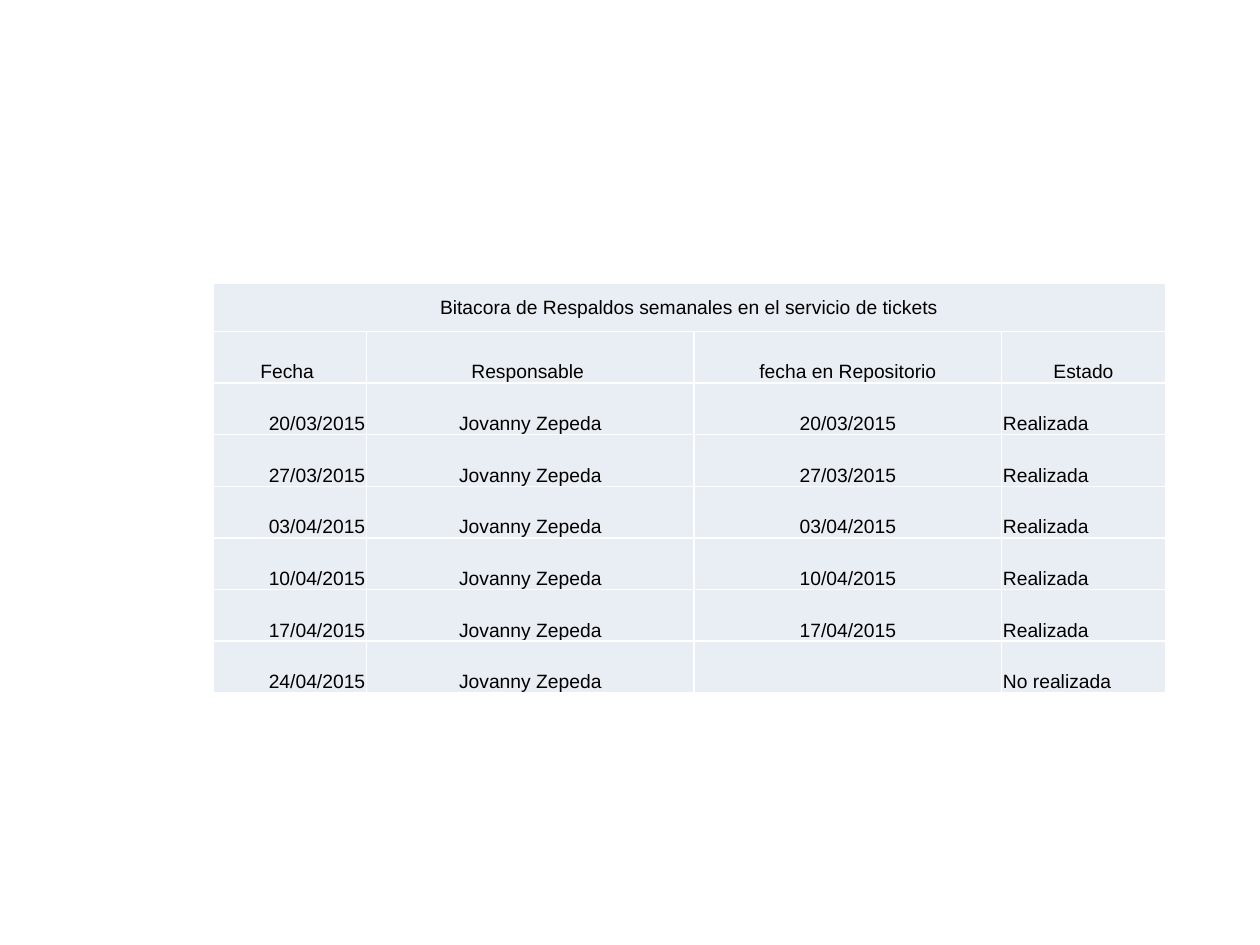
from lxml import etree
from pptx import Presentation
from pptx import util as u
from pptx.dml import color
from pptx.enum import text
from pptx.oxml import ns

HUES = {"cell": "E9EDF4", "edge": "FFFFFF", "ink": "000000"}
TITLE = "Bitacora de Respaldos semanales en el servicio de tickets"
HEADS = ["Fecha ", "Responsable ", "fecha en Repositorio", "Estado"]
DATES = ["20/03/2015", "27/03/2015", "03/04/2015",
         "10/04/2015", "17/04/2015", "24/04/2015"]
WIDTHS = [1.22, 2.6, 2.44, 1.3]
TOP, ROW = 0.38, 0.41
BOX = (1.69, 2.25, sum(WIDTHS), TOP + ROW * (len(DATES) + 1))
MID = text.PP_ALIGN.CENTER
ALIGNS = [text.PP_ALIGN.RIGHT, MID, MID, text.PP_ALIGN.LEFT]
INSETS = {"margin_left": 0.01, "margin_right": 0.01,
          "margin_top": 0.01, "margin_bottom": 0}
FONT = {"name": "Arial", "size": u.Pt(11), "bold": False}


def edge(cell):
    """Draw a thin line on all four sides of a cell."""
    props = cell._tc.get_or_add_tcPr()
    for tag in ("a:lnL", "a:lnR", "a:lnT", "a:lnB"):
        line = etree.SubElement(props, ns.qn(tag), w=str(u.Pt(1)))
        fill = etree.SubElement(line, ns.qn("a:solidFill"))
        etree.SubElement(fill, ns.qn("a:srgbClr"), val=HUES["edge"])


def write(cell, words, align, anchor):
    """Format a cell and put its words in it."""
    edge(cell)
    cell.fill.solid()
    cell.fill.fore_color.rgb = color.RGBColor.from_string(HUES["cell"])
    for name, size in INSETS.items():
        setattr(cell, name, u.Inches(size))
    cell.vertical_anchor = anchor
    para = cell.text_frame.paragraphs[0]
    para.alignment = align
    if words:
        run = para.add_run()
        run.text = words
        for name, value in FONT.items():
            setattr(run.font, name, value)
        run.font.color.rgb = color.RGBColor.from_string(HUES["ink"])


def log(slide, box):
    """Place the backup log table in the given box."""
    rows = [[TITLE, "", "", ""], HEADS]
    for date in DATES:
        done = date != DATES[-1]
        rows.append([date, "Jovanny Zepeda", date if done else "",
                     "Realizada" if done else "No realizada"])
    frame = slide.shapes.add_table(len(rows), len(WIDTHS), *map(u.Inches, box))
    table = frame.table
    table.first_row = table.horz_banding = False
    for col, width in zip(table.columns, WIDTHS):
        col.width = u.Inches(width)
    for i, words in enumerate(rows):
        table.rows[i].height = u.Inches(ROW if i else TOP)
        anchor = text.MSO_ANCHOR.BOTTOM if i else text.MSO_ANCHOR.MIDDLE
        for j, word in enumerate(words):
            align = ALIGNS[j] if i > 1 else MID
            write(table.cell(i, j), word, align, anchor)
    table.cell(0, 0).merge(table.cell(0, len(WIDTHS) - 1))


def main():
    """Build and save the slide."""
    deck = Presentation()
    deck.slide_width, deck.slide_height = u.Inches(10), u.Inches(7.5)
    slide = deck.slides.add_slide(deck.slide_layouts[6])
    log(slide, BOX)
    deck.save("out.pptx")


if __name__ == "__main__":
    main()
